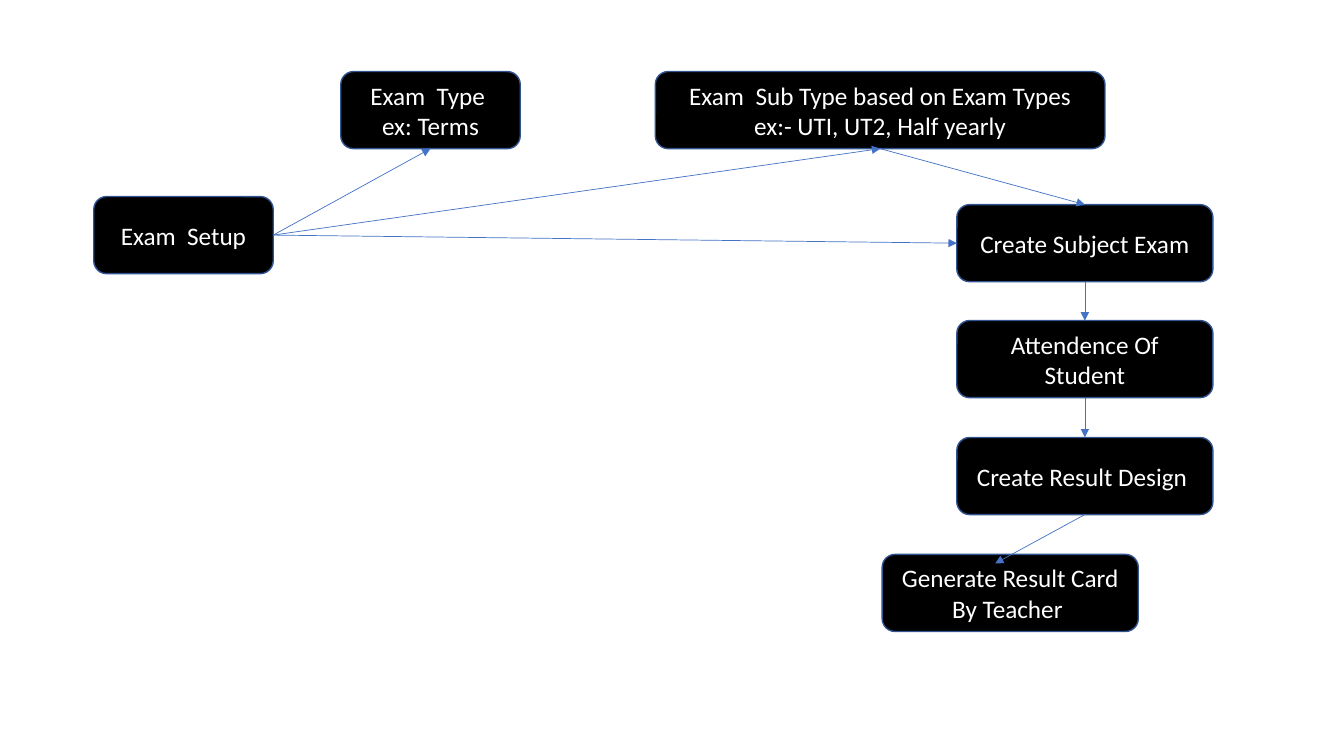
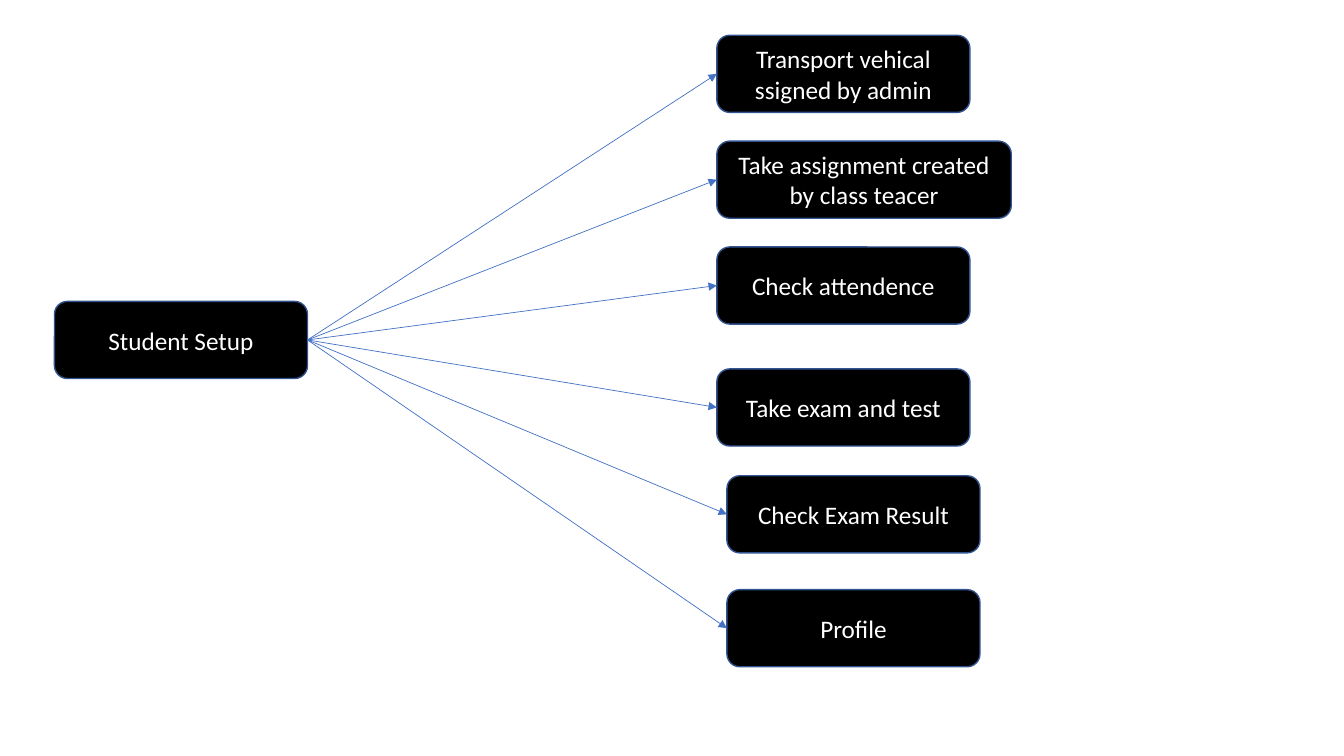
from dataclasses import dataclass
from typing import Optional

from lxml.etree import SubElement
from pptx import Presentation
from pptx.dml.color import RGBColor
from pptx.enum.shapes import MSO_CONNECTOR as Connector, MSO_SHAPE as Preset
from pptx.enum.text import MSO_ANCHOR as Anchor, PP_ALIGN as Align
from pptx.oxml.ns import qn
from pptx.shapes.autoshape import Shape
from pptx.slide import Slide
from pptx.util import Inches, Pt

BLACK, WHITE, BORDER, ARROW = "000000", "FFFFFF", "325491", "4472C4"
FONT = "Calibri"
BOX_HEIGHT = 0.765
TOP, LEFT, BOTTOM, RIGHT = range(4)


@dataclass(frozen=True)
class Step:
    """A rounded box of the flow, measured in inches."""

    name: str
    text: str
    left: float
    top: float
    width: float


@dataclass(frozen=True)
class Link:
    """An arrow between two steps, or from a step to a free point."""

    source: str
    source_side: int
    target: str = ""
    target_side: int = LEFT
    point: Optional[tuple[float, float]] = None


EXAM_STEPS = [
    Step("setup", "Exam  Setup", 0.93, 1.95, 1.78),
    Step("type", "Exam  Type \nex: Terms", 3.38, 0.71, 1.78),
    Step("subtype", "Exam  Sub Type based on Exam Types\nex:- UTI, UT2, Half yearly", 6.5, 0.71, 4.46),
    Step("subject", "Create Subject Exam", 9.49, 2.03, 2.54),
    Step("attendance", "Attendence Of Student", 9.49, 3.18, 2.54),
    Step("design", "Create Result Design ", 9.49, 4.34, 2.54),
    Step("card", "Generate Result Card By Teacher ", 8.75, 5.5, 2.54),
]
EXAM_LINKS = [
    Link("setup", RIGHT, "type", BOTTOM),
    Link("setup", RIGHT, "subtype", BOTTOM),
    Link("setup", RIGHT, "subject", LEFT),
    Link("subtype", BOTTOM, "subject", TOP),
    Link("subject", BOTTOM, "attendance", TOP),
    Link("attendance", BOTTOM, "design", TOP),
    Link("design", BOTTOM, point=(9.87, 5.59)),
]

STUDENT_TASKS = [
    Step("transport", "Transport vehical ssigned by admin", 7.11, 0.35, 2.51),
    Step("assignment", "Take assignment created by class teacer", 7.11, 1.4, 2.92),
    Step("attendance", "Check attendence", 7.11, 2.45, 2.51),
    Step("exam", "Take exam and test", 7.11, 3.66, 2.51),
    Step("result", "Check Exam Result", 7.21, 4.72, 2.51),
    Step("profile", "Profile", 7.21, 5.85, 2.51),
]
STUDENT_STEPS = [Step("setup", "Student Setup", 0.54, 2.99, 2.51), *STUDENT_TASKS]
STUDENT_LINKS = [Link("setup", RIGHT, task.name) for task in STUDENT_TASKS]


def color(value: str) -> RGBColor:
    """Turn a hex string into a colour."""
    return RGBColor.from_string(value)


def add_step(page: Slide, step: Step) -> Shape:
    """Draw one step with its centred label."""
    box = page.shapes.add_shape(
        Preset.ROUNDED_RECTANGLE,
        Inches(step.left), Inches(step.top), Inches(step.width), Inches(BOX_HEIGHT),
    )
    box.shadow.inherit = False
    box.fill.solid()
    box.fill.fore_color.rgb = color(BLACK)
    box.line.color.rgb = color(BORDER)
    box.line.width = Pt(1)
    box.text_frame.word_wrap = True
    box.text_frame.vertical_anchor = Anchor.MIDDLE
    para = box.text_frame.paragraphs[0]
    para.text = step.text
    para.alignment = Align.CENTER
    for span in para.runs:
        span.font.name = FONT
        span.font.size = Pt(18)
        span.font.color.rgb = color(WHITE)
    return box


def add_link(page: Slide, link: Link, boxes: dict[str, Shape]) -> None:
    """Draw one arrow, joined to the boxes it touches."""
    end_x, end_y = link.point or (0, 0)
    arrow = page.shapes.add_connector(
        Connector.STRAIGHT, Inches(0), Inches(0), Inches(end_x), Inches(end_y)
    )
    arrow.begin_connect(boxes[link.source], link.source_side)
    if link.target:
        arrow.end_connect(boxes[link.target], link.target_side)
    arrow.line.color.rgb = color(ARROW)
    arrow.line.width = Pt(0.5)
    SubElement(arrow.line._get_or_add_ln(), qn("a:tailEnd"), type="triangle")
    SubElement(arrow._element.spPr, qn("a:effectLst"))


def add_flow(deck: Presentation, steps: list[Step], links: list[Link]) -> None:
    """Add a slide with a flow of steps and arrows."""
    page = deck.slides.add_slide(deck.slide_layouts.get_by_name("Blank"))
    boxes = {step.name: add_step(page, step) for step in steps}
    for link in links:
        add_link(page, link, boxes)


def main() -> None:
    """Build and save the deck."""
    deck = Presentation()
    deck.slide_width, deck.slide_height = Inches(13.33), Inches(7.5)
    add_flow(deck, EXAM_STEPS, EXAM_LINKS)
    add_flow(deck, STUDENT_STEPS, STUDENT_LINKS)
    deck.save("out.pptx")


if __name__ == "__main__":
    main()
